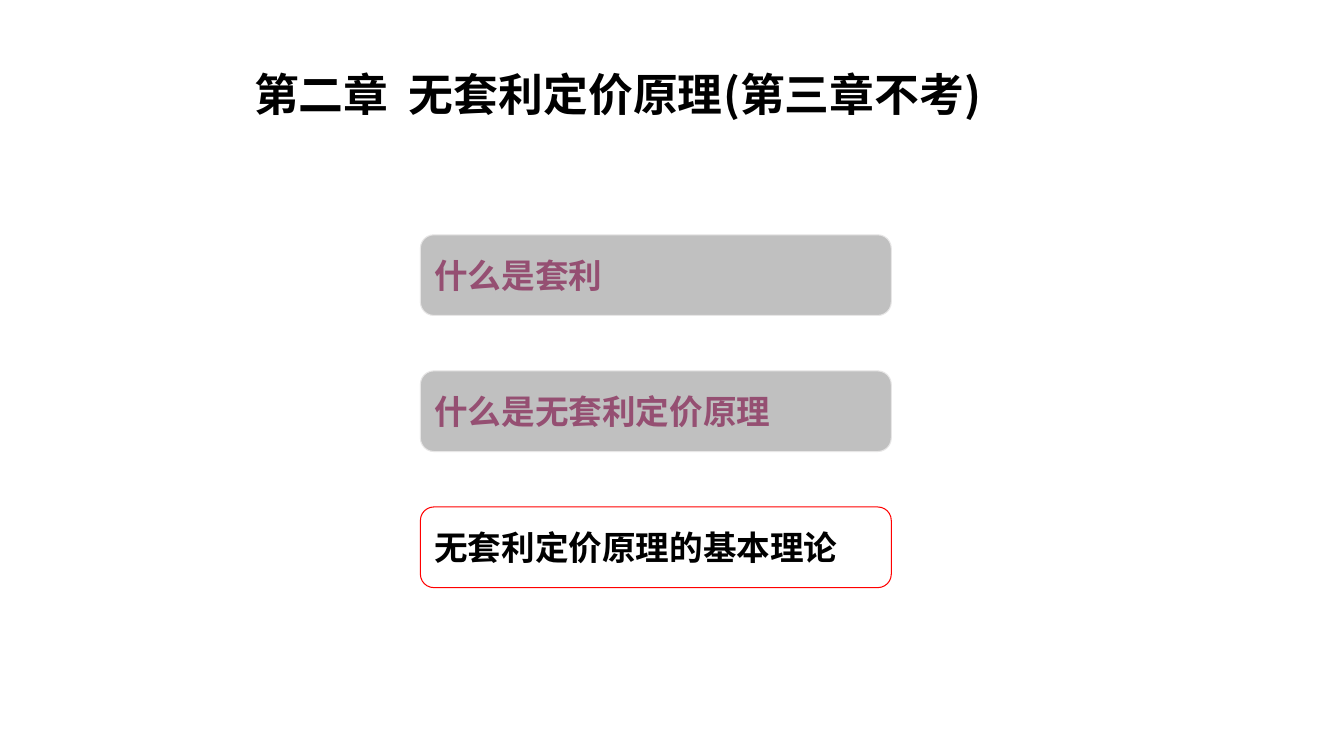
from lxml import etree
from pptx import Presentation
from pptx.dml.color import RGBColor
from pptx.enum.shapes import MSO_SHAPE
from pptx.enum.text import MSO_ANCHOR, MSO_AUTO_SIZE, PP_ALIGN
from pptx.oxml.ns import qn
from pptx.util import Inches, Pt

BOX = MSO_SHAPE.FLOWCHART_ALTERNATE_PROCESS
MIDDLE = MSO_ANCHOR.MIDDLE
LEFT = PP_ALIGN.LEFT
NO_FIT = MSO_AUTO_SIZE.NONE

TITLE = "第二章  无套利定价原理(第三章不考)"
TOPICS = [
    ("什么是套利", "visited"),
    ("什么是无套利定价原理", "visited"),
    ("无套利定价原理的基本理论", "current"),
]

THEME = {
    "font": "Noto Sans CJK SC",
    "title": {"size": 32, "text": "000000"},
    "visited": {"size": 24, "text": "954F72", "fill": "C0C0C0", "line": "E7E6E6"},
    "current": {"size": 24, "text": "000000", "fill": None, "line": "FF0000"},
    "line_width": 0.75,
}

SLIDE_W, SLIDE_H = 13.33, 7.5
TITLE_BOX = (2.42, 0.5, 7.67, 0.92)
BOX_LEFT, BOX_W, BOX_H = 4.17, 4.67, 0.8
FIRST_TOP, ROW_STEP = 2.33, 1.35


def write(tf, text, style, wrap):
    tf.word_wrap = wrap
    tf.auto_size = NO_FIT
    tf.vertical_anchor = MIDDLE
    p = tf.paragraphs[0]
    p.alignment = LEFT
    r = p.add_run()
    r.text = text
    r.font.size = Pt(style["size"])
    r.font.bold = True
    r.font.color.rgb = RGBColor.from_string(style["text"])
    r.font.name = THEME["font"]
    ea = etree.SubElement(r.font._element, qn("a:ea"))
    ea.set("typeface", THEME["font"])
    return p


def add_title(slide):
    sp = slide.shapes.title
    sp.left, sp.top, sp.width, sp.height = map(Inches, TITLE_BOX)
    p = write(sp.text_frame, TITLE, THEME["title"], True)
    p.line_spacing = 0.9


def add_topic(slide, row, text, state):
    style = THEME[state]
    top = FIRST_TOP + row * ROW_STEP
    sp = slide.shapes.add_shape(
        BOX, Inches(BOX_LEFT), Inches(top), Inches(BOX_W), Inches(BOX_H)
    )
    sp.shadow.inherit = False
    if style["fill"]:
        sp.fill.solid()
        sp.fill.fore_color.rgb = RGBColor.from_string(style["fill"])
    else:
        sp.fill.background()
    sp.line.color.rgb = RGBColor.from_string(style["line"])
    sp.line.width = Pt(THEME["line_width"])
    write(sp.text_frame, text, style, False)


def main():
    prs = Presentation()
    prs.slide_width, prs.slide_height = Inches(SLIDE_W), Inches(SLIDE_H)
    slide = prs.slides.add_slide(prs.slide_layouts.get_by_name("Title Only"))
    add_title(slide)
    for row, (text, state) in enumerate(TOPICS):
        add_topic(slide, row, text, state)
    prs.save("out.pptx")


if __name__ == "__main__":
    main()
